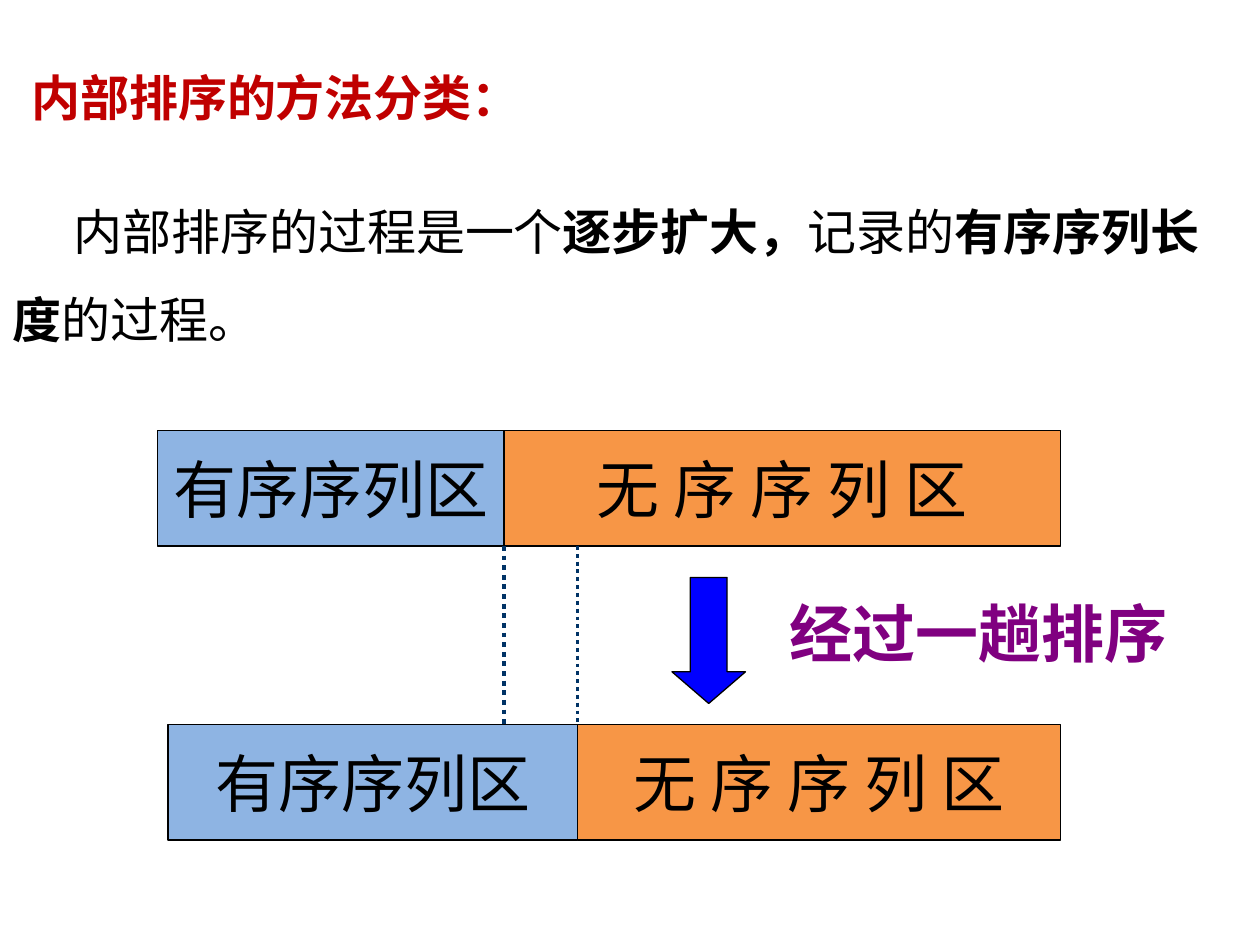
from lxml import etree
from pptx import Presentation
from pptx.dml.color import RGBColor
from pptx.enum.dml import MSO_LINE
from pptx.enum.shapes import MSO_CONNECTOR, MSO_SHAPE
from pptx.enum.text import MSO_ANCHOR, PP_ALIGN
from pptx.oxml.ns import qn
from pptx.util import Pt

SANS, SERIF = "Noto Sans CJK SC", "Times New Roman"
BLACK, SORTED_FILL, UNSORTED_FILL = "000000", "8EB4E3", "F79646"
RECTANGLE, DOWN_ARROW = MSO_SHAPE.RECTANGLE, MSO_SHAPE.DOWN_ARROW
STRAIGHT, DOTTED = MSO_CONNECTOR.STRAIGHT, MSO_LINE.ROUND_DOT
MIDDLE, CENTER = MSO_ANCHOR.MIDDLE, PP_ALIGN.CENTER

TITLE = [("内部排序的方法分类：", True)]
BODY = [
    ("内部排序的过程是一个", False),
    ("逐步扩大，", True),
    ("记录的", False),
    ("有序序列长度", True),
    ("的过程。", False),
]
STEP = [("经过一趟排序", True)]
SORTED_LABEL, UNSORTED_LABEL = "有序序列区", "无 序 序 列 区"

BAR_HEIGHT, BAR_RIGHT = 66, 606
BARS = [
    {"left": 90, "split": 288, "top": 246, "dots": 2.75},
    {"left": 96, "split": 330, "top": 414, "dots": 2.25},
]


def color(value):
    return RGBColor.from_string(value)


def style(para, size, font, ink):
    para.font.size = Pt(size)
    para.font.name = font
    para.font.color.rgb = color(ink)


def add_text(page, place, spans, size, font, ink):
    box = page.shapes.add_textbox(*map(Pt, place))
    box.text_frame.word_wrap = True
    para = box.text_frame.paragraphs[0]
    style(para, size, font, ink)
    for text, bold in spans:
        span = para.add_run()
        span.text = text
        span.font.bold = bold
    return box


def add_block(page, kind, place, fill):
    block = page.shapes.add_shape(kind, *map(Pt, place))
    block.shadow.inherit = False
    block.fill.solid()
    block.fill.fore_color.rgb = color(fill)
    block.line.color.rgb = color(BLACK)
    block.line.width = Pt(0.75)
    return block


def add_zone(page, left, right, top, fill, label, font):
    zone = add_block(page, RECTANGLE, (left, top, right - left, BAR_HEIGHT), fill)
    frame = zone.text_frame
    frame.word_wrap = False
    frame.vertical_anchor = MIDDLE
    para = frame.paragraphs[0]
    para.text = label
    para.alignment = CENTER
    style(para, 36, font, BLACK)


def add_dots(page, x, top, bottom, width):
    dots = page.shapes.add_connector(STRAIGHT, Pt(x), Pt(top), Pt(x), Pt(bottom))
    dots.line.color.rgb = color("003366")
    dots.line.width = Pt(width)
    dots.line.dash_style = DOTTED
    etree.SubElement(dots.element.spPr, qn("a:effectLst"))


deck = Presentation()
deck.slide_width, deck.slide_height = Pt(720), Pt(540)
page = deck.slides.add_slide(deck.slide_layouts[6])

add_text(page, (10.8, 35.3, 466.6, 41), TITLE, 28, SANS, "C00000")
body = add_text(page, (0, 76.3, 720, 131), BODY, 28, SANS, BLACK)
body.text_frame.margin_top = Pt(22)
body_para = body.text_frame.paragraphs[0]
body_para.line_spacing = 1.5
body_para._p.get_or_add_pPr().set("indent", str(Pt(35)))
add_text(page, (444.2, 336.2, 275.8, 50.4), STEP, 36, SERIF, "800080")

for bar in BARS:
    add_zone(page, bar["left"], bar["split"], bar["top"], SORTED_FILL, SORTED_LABEL, SERIF)
    add_zone(page, bar["split"], BAR_RIGHT, bar["top"], UNSORTED_FILL, UNSORTED_LABEL, SANS)

arrow = add_block(page, DOWN_ARROW, (384, 330, 42, 72), "0000FF")
arrow.adjustments[0], arrow.adjustments[1] = 0.5, 0.43

upper, lower = BARS
for bar in BARS:
    add_dots(page, bar["split"], upper["top"] + BAR_HEIGHT, lower["top"], bar["dots"])

deck.save("out.pptx")
